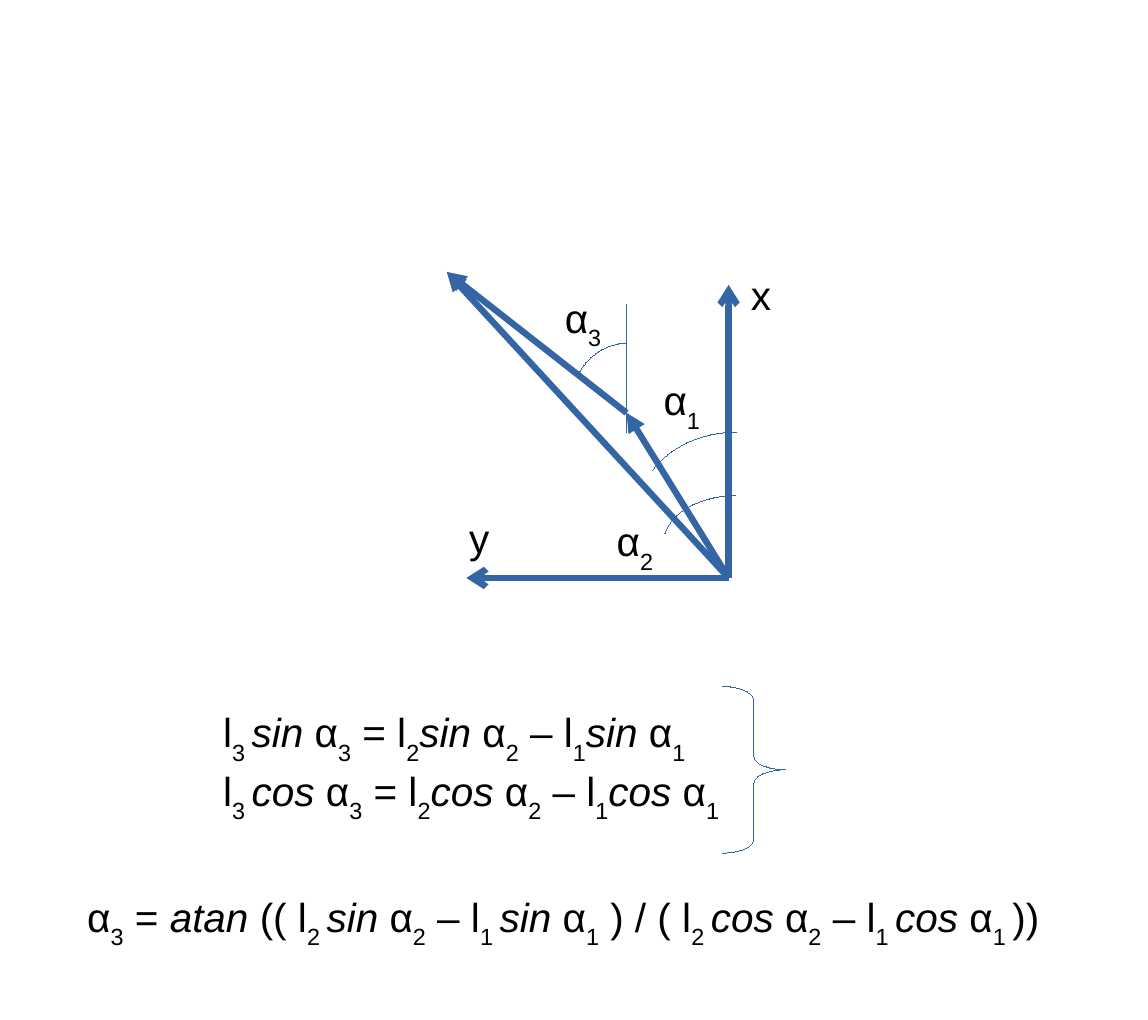
"""Build a slide that derives the angle between two vectors from their components."""
from lxml.etree import SubElement
from pptx import Presentation
from pptx.dml.color import RGBColor
from pptx.enum.shapes import MSO_CONNECTOR, MSO_SHAPE
from pptx.enum.text import MSO_ANCHOR
from pptx.oxml.ns import qn
from pptx.util import Inches, Pt

BLUE = RGBColor(0x34, 0x65, 0xA4)
BLACK = RGBColor(0, 0, 0)
COLUMNS, ROWS = 709, 630
THICK, HAIRLINE = Pt(2.83), Pt(0.01)
FUNCTIONS = ("sin", "cos", "atan")

presentation = Presentation()
presentation.slide_width = Inches(7.09)
presentation.slide_height = Inches(6.3)
column = presentation.slide_width / COLUMNS
row = presentation.slide_height / ROWS
slide = presentation.slides.add_slide(presentation.slide_layouts[6])


def place(left, top, width, height):
    return [round(size) for size in (left * column, top * row, width * column, height * row)]


def add_line(start, end, width, arrowhead):
    line = slide.shapes.add_connector(MSO_CONNECTOR.STRAIGHT, *place(*start, *end))
    line.line.color.rgb = BLUE
    line.line.width = width
    properties = line._element.spPr
    if arrowhead:
        SubElement(properties.find(qn("a:ln")), qn("a:tailEnd"), type=arrowhead)
    SubElement(properties, qn("a:effectLst"))


origin, elbow, tip = (450, 357), (387, 255), (276, 168)
for start, end, width, arrowhead in (
    (origin, tip, THICK, "triangle"),
    (origin, elbow, THICK, "triangle"),
    (elbow, tip, THICK, "triangle"),
    ((387, 188), (387, 267), HAIRLINE, None),
    (origin, (450, 176), THICK, "arrow"),
    (origin, (288, 357), THICK, "arrow"),
):
    add_line(start, end, width, arrowhead)

for preset, box, adjustments in (
    (MSO_SHAPE.ARC, (394, 267, 121, 98), (123.75, 162.28)),
    (MSO_SHAPE.ARC, (410, 306, 92, 57), (111.64, 159.79)),
    (MSO_SHAPE.ARC, (352, 212, 71, 79), (130.19, 161.09)),
    (MSO_SHAPE.RIGHT_BRACE, (446, 424, 39, 103), (0.22, 0.5)),
):
    shape = slide.shapes.add_shape(preset, *place(*box))
    shape.shadow.inherit = False
    shape.fill.background()
    shape.line.color.rgb = BLUE
    shape.line.width = HAIRLINE
    for index, adjustment in enumerate(adjustments):
        shape.adjustments[index] = adjustment

components = [
    f"l|3 |{name} |α|3| = l|2|{name} |α|2| – l|1|{name}| α|1" for name in ("sin", "cos")
]
differences = [f"l|2 |{name} |α|2| – l|1 |{name}| α|1" for name in ("sin", "cos")]
solution = f"α|3| = |atan| (( {differences[0]}| ) / ( {differences[1]} |))"

for box, lines in (
    ((400, 227, 55, 44), ["α|1"]),
    ((339, 176, 55, 44), ["α|3"]),
    ((371, 314, 55, 44), ["α|2"]),
    ((454, 162, 40, 38), ["x"]),
    ((280, 312, 40, 38), ["y"]),
    ((128, 432, 345, 106), components),
    ((44, 546, 640, 72), [solution]),
):
    frame = slide.shapes.add_textbox(*place(*box)).text_frame
    for name, value in {"word_wrap": True, "vertical_anchor": MSO_ANCHOR.TOP}.items():
        setattr(frame, name, value)
    for index, text in enumerate(lines):
        paragraph = frame.add_paragraph() if index else frame.paragraphs[0]
        for piece in text.split("|"):
            run = paragraph.add_run()
            run.text = piece
            font_format = {"name": "Arial", "size": Pt(18), "italic": piece.strip() in FUNCTIONS}
            for name, value in font_format.items():
                setattr(run.font, name, value)
            run.font.color.rgb = BLACK
            if piece.strip().isdigit():
                run.font._element.set("baseline", "-33000")

presentation.save("out.pptx")
